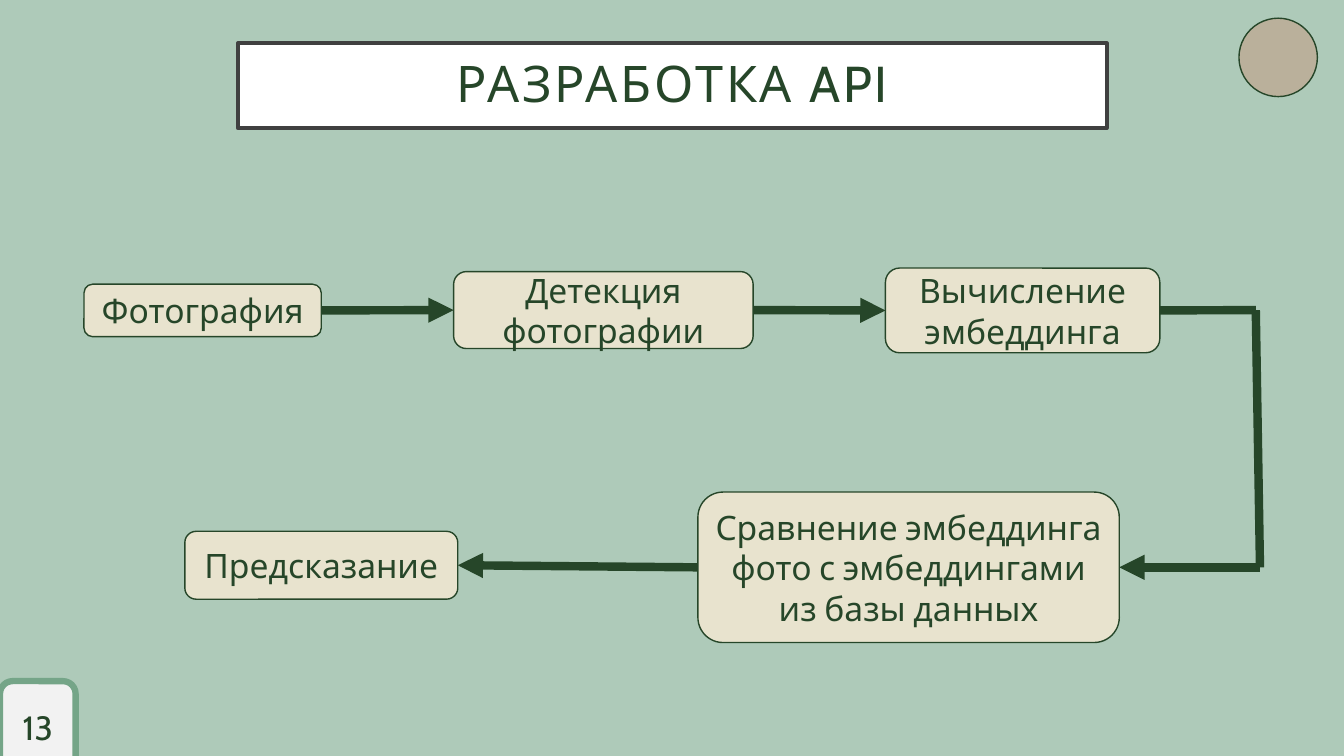
from lxml import etree
from pptx import Presentation
from pptx.dml.color import RGBColor
from pptx.enum.shapes import MSO_CONNECTOR, MSO_SHAPE
from pptx.enum.text import MSO_ANCHOR, PP_ALIGN
from pptx.oxml.ns import qn
from pptx.util import Pt

RECTANGLE = MSO_SHAPE.RECTANGLE
ROUNDED = MSO_SHAPE.ROUNDED_RECTANGLE
OVAL = MSO_SHAPE.OVAL
STRAIGHT = MSO_CONNECTOR.STRAIGHT
MIDDLE = MSO_ANCHOR.MIDDLE
CENTER = PP_ALIGN.CENTER

FONT = "Cabin"
GREEN = "264629"
CREAM = "E8E3CE"
LEFT_SITE, RIGHT_SITE = 1, 3


def color(value):
    return RGBColor.from_string(value)


def add_box(slide, kind, left, top, width, height, fill, line=GREEN, weight=1):
    shape = slide.shapes.add_shape(kind, Pt(left), Pt(top), Pt(width), Pt(height))
    shape.shadow.inherit = False
    shape.fill.solid()
    shape.fill.fore_color.rgb = color(fill)
    shape.line.color.rgb = color(line)
    shape.line.width = Pt(weight)
    return shape


def write_text(shape, text, size=24, spacing=0, line_spacing=None, insets=(7.2, 3.6)):
    frame = shape.text_frame
    frame.word_wrap = True
    frame.vertical_anchor = MIDDLE
    frame.margin_left = frame.margin_right = Pt(insets[0])
    frame.margin_top = frame.margin_bottom = Pt(insets[1])
    paragraph = frame.paragraphs[0]
    paragraph.alignment = CENTER
    if line_spacing:
        paragraph.line_spacing = line_spacing
    run = paragraph.add_run()
    run.text = text
    run.font.name = FONT
    run.font.size = Pt(size)
    run.font.color.rgb = color(GREEN)
    if spacing:
        run.font._element.set("spc", str(spacing * 100))


def add_step(slide, text, *bounds):
    shape = add_box(slide, ROUNDED, *bounds, CREAM)
    write_text(shape, text)
    return shape


def add_link(slide, start, end, arrow=True):
    """Join two ends; each is a point (x, y) or a (shape, site) pair."""
    connector = slide.shapes.add_connector(STRAIGHT, 0, 0, 0, 0)
    if isinstance(start[0], (int, float)):
        connector.begin_x, connector.begin_y = map(Pt, start)
    else:
        connector.begin_connect(*start)
    if isinstance(end[0], (int, float)):
        connector.end_x, connector.end_y = map(Pt, end)
    else:
        connector.end_connect(*end)
    connector.line.color.rgb = color(GREEN)
    connector.line.width = Pt(6)
    if arrow:
        line = connector.line._get_or_add_ln()
        etree.SubElement(line, qn("a:tailEnd"), type="triangle")
    etree.SubElement(connector._element.spPr, qn("a:effectLst"))


def main():
    presentation = Presentation()
    presentation.slide_width, presentation.slide_height = Pt(960), Pt(540)
    slide = presentation.slides.add_slide(presentation.slide_layouts[6])
    slide.background.fill.solid()
    slide.background.fill.fore_color.rgb = color("AECAB9")

    # Title
    title = add_box(slide, RECTANGLE, 170, 31, 620.5, 60.5, "FFFFFF", "404040", 3)
    write_text(title, "РАЗРАБОТКА API", size=36, spacing=2, line_spacing=0.9,
               insets=(21.6, 14.4))

    # Process steps
    photo = add_step(slide, "Фотография", 60, 203, 169.5, 37.5)
    detection = add_step(slide, "Детекция фотографии", 324, 194, 214, 55)
    embedding = add_step(slide, "Вычисление эмбеддинга", 632.5, 191.5, 196, 60.5)
    comparison = add_step(
        slide, "Сравнение эмбеддинга фото с эмбеддингами из базы данных",
        498.5, 351.5, 301, 107.5)
    prediction = add_step(slide, "Предсказание", 132, 379.5, 195, 48.5)

    # Flow between the steps, turning at the right edge
    upper_corner, lower_corner = (897, 221.5), (900, 405.25)
    add_link(slide, (photo, RIGHT_SITE), (detection, LEFT_SITE))
    add_link(slide, (detection, RIGHT_SITE), (embedding, LEFT_SITE))
    add_link(slide, (embedding, RIGHT_SITE), upper_corner, arrow=False)
    add_link(slide, upper_corner, lower_corner, arrow=False)
    add_link(slide, lower_corner, (comparison, RIGHT_SITE))
    add_link(slide, (comparison, LEFT_SITE), (prediction, RIGHT_SITE))

    # Page number and corner decoration
    page_number = add_box(slide, ROUNDED, 0, 486.5, 54, 65, "F2F2F2", "75A588", 4.5)
    write_text(page_number, "13")
    add_box(slide, OVAL, 885, 13, 56, 56, "BAB09B")

    presentation.save("out.pptx")


if __name__ == "__main__":
    main()
